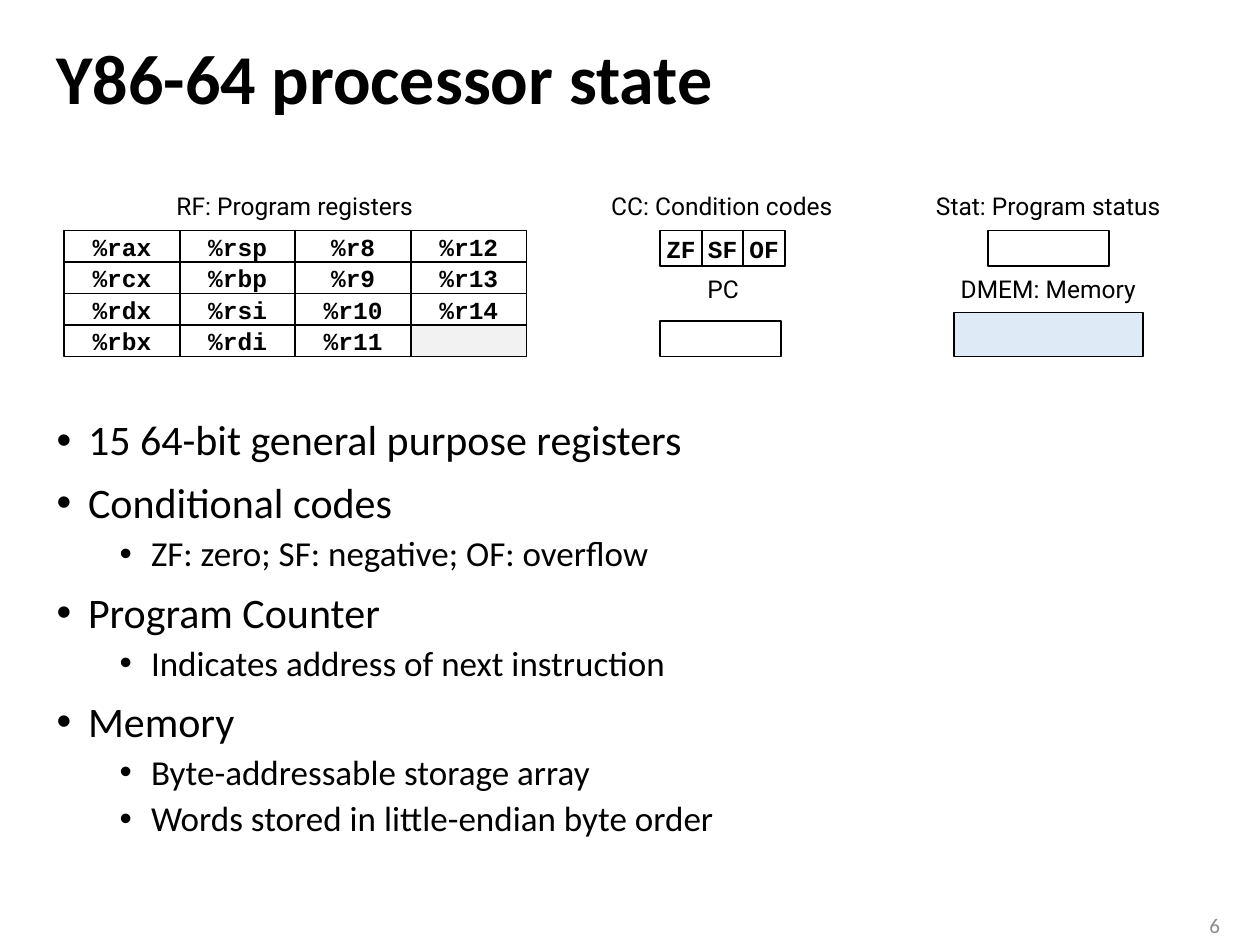
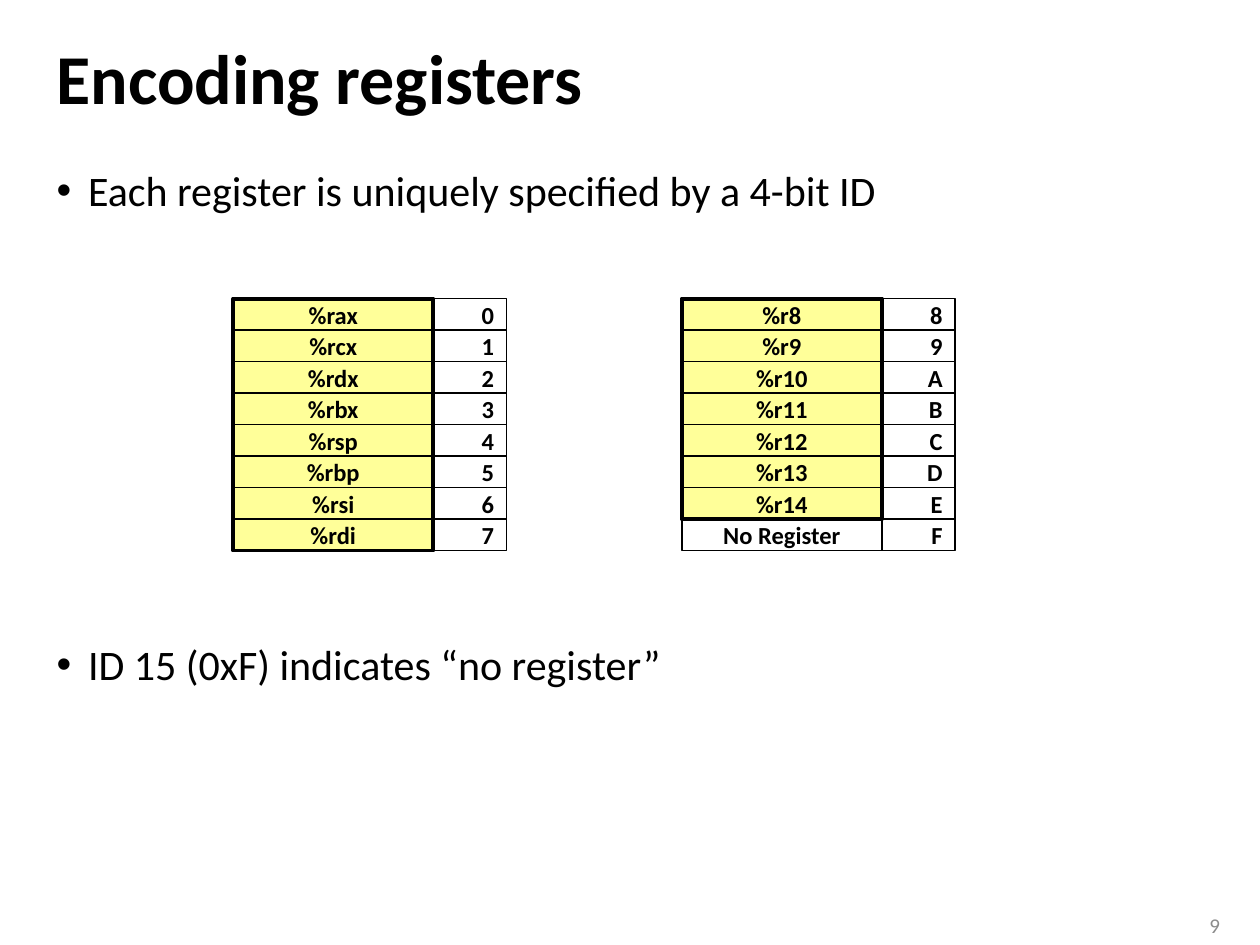
from dataclasses import dataclass

from lxml.etree import SubElement
from pptx import Presentation
from pptx.dml.color import RGBColor
from pptx.enum.shapes import MSO_SHAPE
from pptx.enum.text import MSO_ANCHOR, PP_ALIGN
from pptx.oxml.ns import qn
from pptx.util import Inches, Pt


@dataclass(frozen=True)
class Theme:
    black: str = "000000"
    white: str = "FFFFFF"
    gray: str = "8C8C8C"
    unused: str = "F2F2F2"
    memory: str = "DEEBF7"
    register: str = "FFFF99"
    body_font: str = "Calibri"
    label_font: str = "Roboto"
    code_font: str = "Courier New"
    title_size: int = 40
    bullet_sizes: tuple = (24, 20)
    bullet_gaps: tuple = (10, 5)
    bullet_indents: tuple = (0.25, 0.75)
    hanging: float = 0.25
    small_size: int = 14
    number_size: int = 12
    thin: float = 1
    thick: float = 2.25


THEME = Theme()
MARGIN = 0.35
CONTENT_WIDTH = 9.29
ROW_HEIGHT = 0.25


def set_all(target, values):
    for name, value in values.items():
        setattr(target, name, value)


def add_span(para, text, size, font=THEME.body_font, bold=False, color=THEME.black):
    span = para.add_run()
    span.text = text
    set_all(span.font, {"size": Pt(size), "name": font, "bold": bold})
    span.font.color.rgb = RGBColor.from_string(color)


def add_text(page, area, text, size, align=PP_ALIGN.LEFT, spacing=1.0, **style):
    box = page.shapes.add_textbox(*map(Inches, area))
    set_all(box.text_frame, {"word_wrap": True, "vertical_anchor": MSO_ANCHOR.MIDDLE})
    para = box.text_frame.paragraphs[0]
    set_all(para, {"alignment": align, "line_spacing": spacing})
    add_span(para, text, size, **style)


def add_label(page, center, top, text, width=2.33):
    add_text(page, (center - width / 2, top, width, 0.31), text, THEME.small_size,
             align=PP_ALIGN.CENTER, font=THEME.label_font)


def add_bullet_mark(para, level):
    properties = para._p.get_or_add_pPr()
    properties.set("marL", str(Inches(THEME.bullet_indents[level])))
    properties.set("indent", str(-Inches(THEME.hanging)))
    SubElement(properties, qn("a:buFont")).set("typeface", "Arial")
    SubElement(properties, qn("a:buChar")).set("char", "•")


def add_bullets(page, top, items, spacing=1.0, gaps=THEME.bullet_gaps):
    area = (MARGIN, top, CONTENT_WIDTH, 7.09 - top)
    frame = page.shapes.add_textbox(*map(Inches, area)).text_frame
    frame.word_wrap = True
    for index, (level, text) in enumerate(items):
        para = frame.add_paragraph() if index else frame.paragraphs[0]
        before = Pt(gaps[level] if index else 0)
        set_all(para, {"level": level, "line_spacing": spacing, "space_before": before})
        add_bullet_mark(para, level)
        add_span(para, text, THEME.bullet_sizes[level])


def add_box(owner, area, text="", fill=None, line=THEME.thin,
            font=THEME.body_font, align=PP_ALIGN.CENTER):
    box = owner.shapes.add_shape(MSO_SHAPE.RECTANGLE, *map(Inches, area))
    box.shadow.inherit = False
    if fill:
        box.fill.solid()
        box.fill.fore_color.rgb = RGBColor.from_string(fill)
    else:
        box.fill.background()
    box.line.color.rgb = RGBColor.from_string(THEME.black)
    box.line.width = Pt(line)
    if text:
        set_all(box.text_frame, {"word_wrap": False, "vertical_anchor": MSO_ANCHOR.MIDDLE})
        para = box.text_frame.paragraphs[0]
        para.alignment = align
        add_span(para, text, THEME.small_size, font, bold=True)


def add_register_file(page, left, top, columns):
    group = page.shapes.add_group_shape()
    width = 3.67 / len(columns)
    for column, names in enumerate(columns):
        for row, name in enumerate(names):
            area = (left + column * width, top + row * ROW_HEIGHT, width, ROW_HEIGHT)
            add_box(group, area, name, THEME.white if name else THEME.unused,
                    font=THEME.code_font)


def add_condition_codes(page, left, top, codes):
    group = page.shapes.add_group_shape()
    width = 0.33
    for index, code in enumerate(codes):
        add_box(group, (left + index * width, top, width, 0.28), code,
                font=THEME.code_font)


def add_encoding(page, left, top, names, ids, register_count):
    group = page.shapes.add_group_shape()
    name_width, id_width = 1.59, 0.58
    add_box(group, (left, top, name_width, register_count * ROW_HEIGHT),
            fill=THEME.register, line=THEME.thick)
    for row, (name, identifier) in enumerate(zip(names, ids)):
        row_top = top + row * ROW_HEIGHT
        add_box(group, (left, row_top, name_width, ROW_HEIGHT), name)
        add_box(group, (left + name_width, row_top, id_width, ROW_HEIGHT),
                identifier, align=PP_ALIGN.RIGHT)


def add_page(deck, title, number):
    page = deck.slides.add_slide(deck.slide_layouts[6])
    add_text(page, (MARGIN, 0.19, CONTENT_WIDTH, 0.92), title, THEME.title_size,
             spacing=0.9, bold=True)
    add_text(page, (9.27, 7.19, 0.51, 0.31), number, THEME.number_size,
             align=PP_ALIGN.RIGHT, color=THEME.gray)
    return page


def build_processor_state(deck):
    page = add_page(deck, "Y86-64 processor state", "6")
    top = 1.83
    for center, label_top, text in (
        (2.34, 1.48, "RF: Program registers"),
        (5.73, 1.48, "CC: Condition codes"),
        (5.74, 2.14, "PC"),
        (8.32, 1.48, "Stat: Program status"),
        (8.32, 2.14, "DMEM: Memory"),
    ):
        add_label(page, center, label_top, text)
    add_register_file(page, 0.51, top, (
        ("%rax", "%rcx", "%rdx", "%rbx"),
        ("%rsp", "%rbp", "%rsi", "%rdi"),
        ("%r8", "%r9", "%r10", "%r11"),
        ("%r12", "%r13", "%r14", ""),
    ))
    add_condition_codes(page, 5.24, top, ("ZF", "SF", "OF"))
    add_box(page, (5.24, 2.55, 0.96, 0.28))
    add_box(page, (7.84, top, 0.96, 0.28))
    add_box(page, (7.57, 2.48, 1.5, 0.35), fill=THEME.memory)
    add_bullets(page, 3.28, (
        (0, "15 64-bit general purpose registers"),
        (0, "Conditional codes"),
        (1, "ZF: zero; SF: negative; OF: overflow"),
        (0, "Program Counter"),
        (1, "Indicates address of next instruction"),
        (0, "Memory"),
        (1, "Byte-addressable storage array"),
        (1, "Words stored in little-endian byte order"),
    ), spacing=0.9)


def build_encoding(deck):
    page = add_page(deck, "Encoding registers", "9")
    add_bullets(page, 1.26, (
        (0, "Each register is uniquely specified by a 4-bit ID"),
        (0, "ID 15 (0xF) indicates “no register”"),
    ), gaps=(242,))
    low = ("%rax", "%rcx", "%rdx", "%rbx", "%rsp", "%rbp", "%rsi", "%rdi")
    high = tuple(f"%r{number}" for number in range(8, 15))
    add_encoding(page, 1.85, 2.37, low, "01234567", len(low))
    add_encoding(page, 5.41, 2.37, high + ("No Register",), "89ABCDEF", len(high))


def main():
    deck = Presentation()
    set_all(deck, {"slide_width": Inches(10), "slide_height": Inches(7.5)})
    build_processor_state(deck)
    build_encoding(deck)
    deck.save("out.pptx")


if __name__ == "__main__":
    main()
